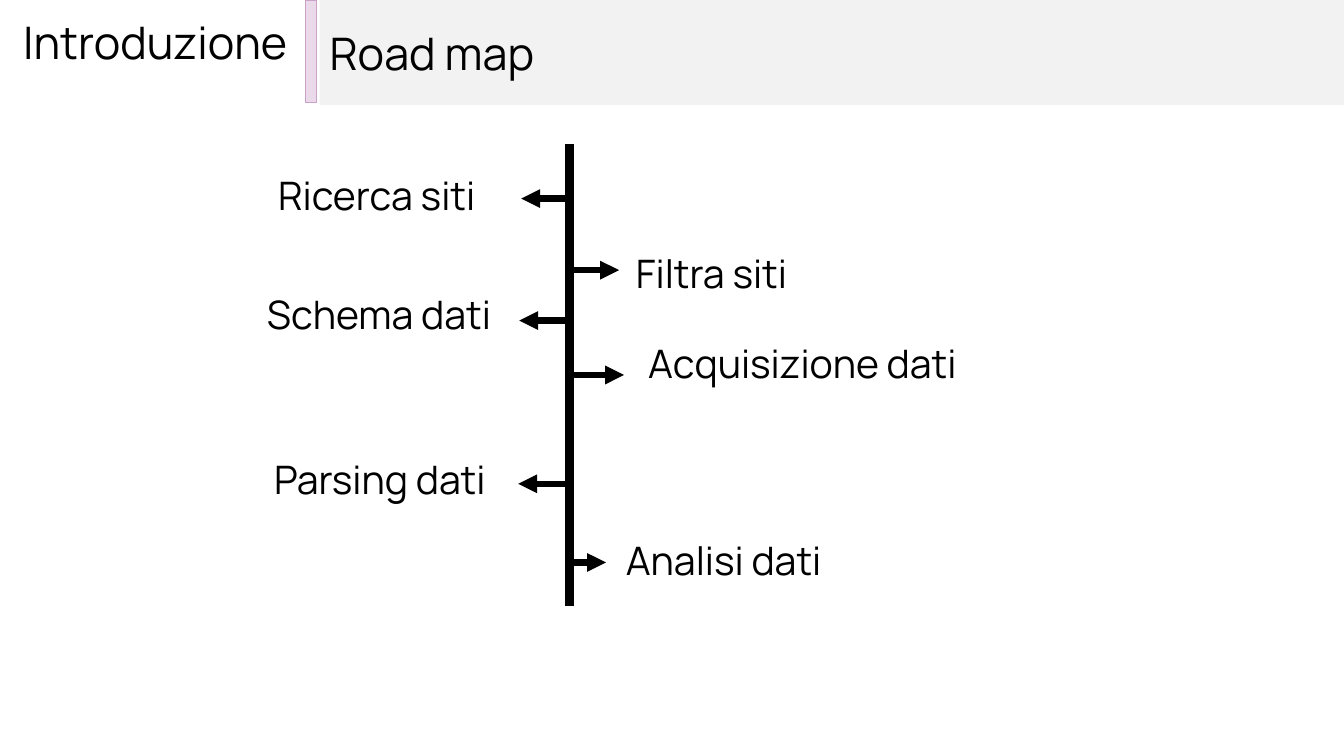
from dataclasses import dataclass

from lxml import etree
from pptx import Presentation
from pptx import util as u
from pptx.dml.color import RGBColor
from pptx.enum import shapes, text
from pptx.oxml.ns import qn

PX = 9144  # EMU per px, 100 px to the inch


@dataclass(frozen=True)
class Theme:
    font: str = "Manrope"
    ink: RGBColor = RGBColor(0x00, 0x00, 0x00)
    band: RGBColor = RGBColor(0xF2, 0xF2, 0xF2)
    accent: RGBColor = RGBColor(0xC8, 0xA2, 0xC8)
    accent_alpha: int = 40  # percent
    heading_size: int = 32
    step_size: int = 28
    axis_width: float = 6
    arrow_width: float = 4.5


THEME = Theme()

AXIS_X, AXIS_TOP, AXIS_BOTTOM = 565, 143, 601
LABEL_HEIGHT = 57

# label, left, top, width, arrow start x, arrow tip x, arrow y
STEPS = [
    ("Ricerca siti", 266, 165, 256, 565, 517, 197),
    ("Filtra siti", 621, 242, 256, 562, 614, 268),
    ("Schema dati", 255, 283, 256, 562, 515, 318),
    ("Acquisizione dati", 633, 332, 397, 568, 619, 372),
    ("Parsing dati", 262, 447, 306, 560, 514, 480),
    ("Analisi dati", 611, 527, 445, 564, 601, 558),
]


def px(*lengths):
    return [u.Emu(length * PX) for length in lengths]


def write_text(shape, words, size):
    """Put one left-aligned paragraph in a shape."""
    frame = shape.text_frame
    frame.word_wrap = True
    paragraph = frame.paragraphs[0]
    paragraph.text = words
    paragraph.alignment = text.PP_ALIGN.LEFT
    paragraph.font.name = THEME.font
    paragraph.font.size = u.Pt(size)
    paragraph.font.color.rgb = THEME.ink
    return frame


def place_title(slide, words, left, top, width, height):
    title = slide.shapes.title
    title.left, title.top, title.width, title.height = px(left, top, width, height)
    frame = write_text(title, words, THEME.heading_size)
    frame.vertical_anchor = text.MSO_ANCHOR.TOP
    frame.auto_size = text.MSO_AUTO_SIZE.SHAPE_TO_FIT_TEXT


def add_label(slide, words, left, top, width):
    box = slide.shapes.add_textbox(*px(left, top, width, LABEL_HEIGHT))
    frame = write_text(box, words, THEME.step_size)
    frame.auto_size = text.MSO_AUTO_SIZE.SHAPE_TO_FIT_TEXT


def add_rectangle(slide, left, top, width, height, fill):
    rectangle = slide.shapes.add_shape(
        shapes.MSO_SHAPE.RECTANGLE, *px(left, top, width, height))
    rectangle.shadow.inherit = False
    rectangle.fill.solid()
    rectangle.fill.fore_color.rgb = fill
    rectangle.line.fill.background()
    return rectangle


def add_line(slide, x1, y1, x2, y2, width, arrow=False):
    line = slide.shapes.add_connector(
        shapes.MSO_CONNECTOR.STRAIGHT, *px(x1, y1, x2, y2))
    line.line.color.rgb = THEME.ink
    line.line.width = u.Pt(width)
    if arrow:
        etree.SubElement(line.line._get_or_add_ln(), qn("a:tailEnd"), type="triangle")
    etree.SubElement(line._element.spPr, qn("a:effectLst"))


def add_header(slide):
    place_title(slide, "Introduzione", 13, 10, 300, 65)

    band = add_rectangle(slide, 317, 0, 1017, 104, THEME.band)
    frame = write_text(band, "Road map", THEME.heading_size)
    frame.vertical_anchor = text.MSO_ANCHOR.MIDDLE

    # Translucent divider between section and topic
    divider = add_rectangle(slide, 303, 0, 11, 102, THEME.accent)
    divider.line.color.rgb = THEME.accent
    divider.line.width = u.Pt(1)
    color = divider._element.spPr.find(qn("a:solidFill")).find(qn("a:srgbClr"))
    etree.SubElement(color, qn("a:alpha"), val=str(THEME.accent_alpha * 1000))


def add_road_map(slide):
    add_line(slide, AXIS_X, AXIS_TOP, AXIS_X, AXIS_BOTTOM, THEME.axis_width)
    for words, left, top, width, start, tip, y in STEPS:
        add_line(slide, start, y, tip, y, THEME.arrow_width, arrow=True)
        add_label(slide, words, left, top, width)


def main():
    presentation = Presentation()
    presentation.slide_width, presentation.slide_height = px(1333, 750)
    title_only = presentation.slide_layouts[5]
    slide = presentation.slides.add_slide(title_only)

    add_road_map(slide)
    add_header(slide)

    presentation.save("out.pptx")


if __name__ == "__main__":
    main()
